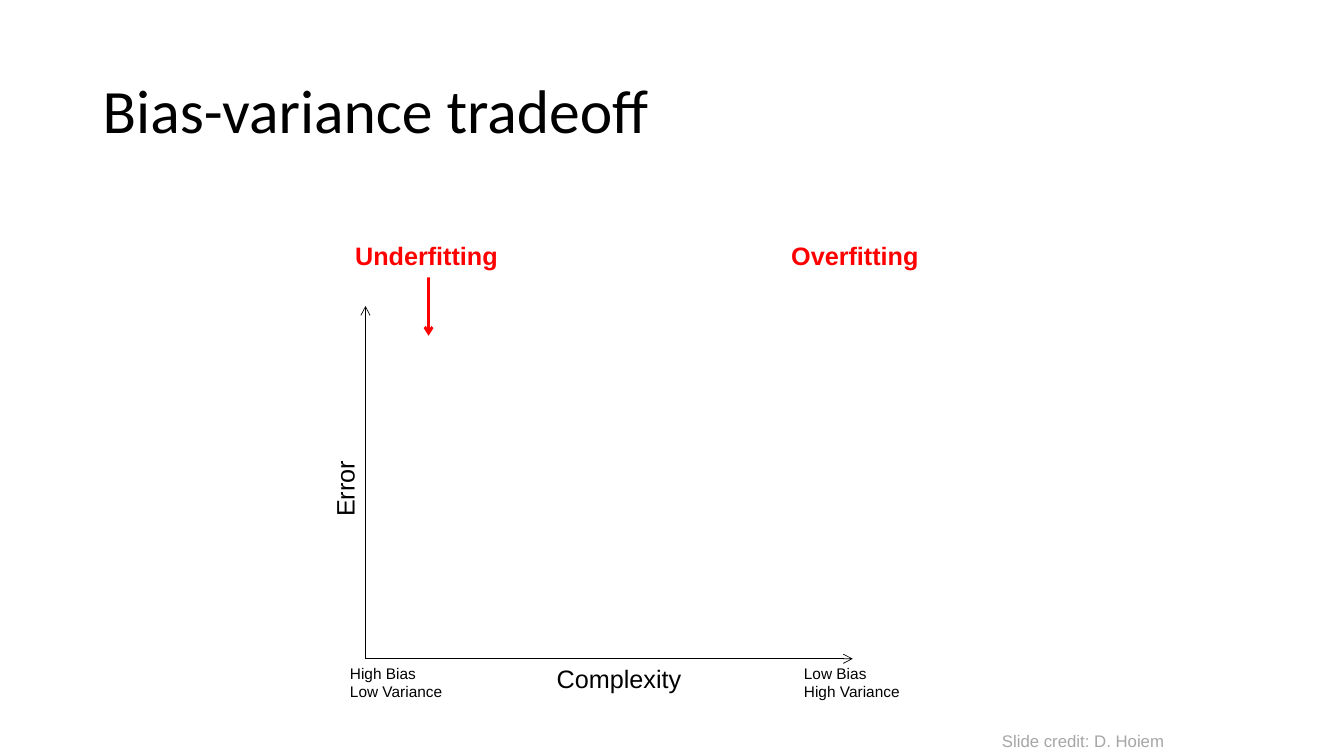
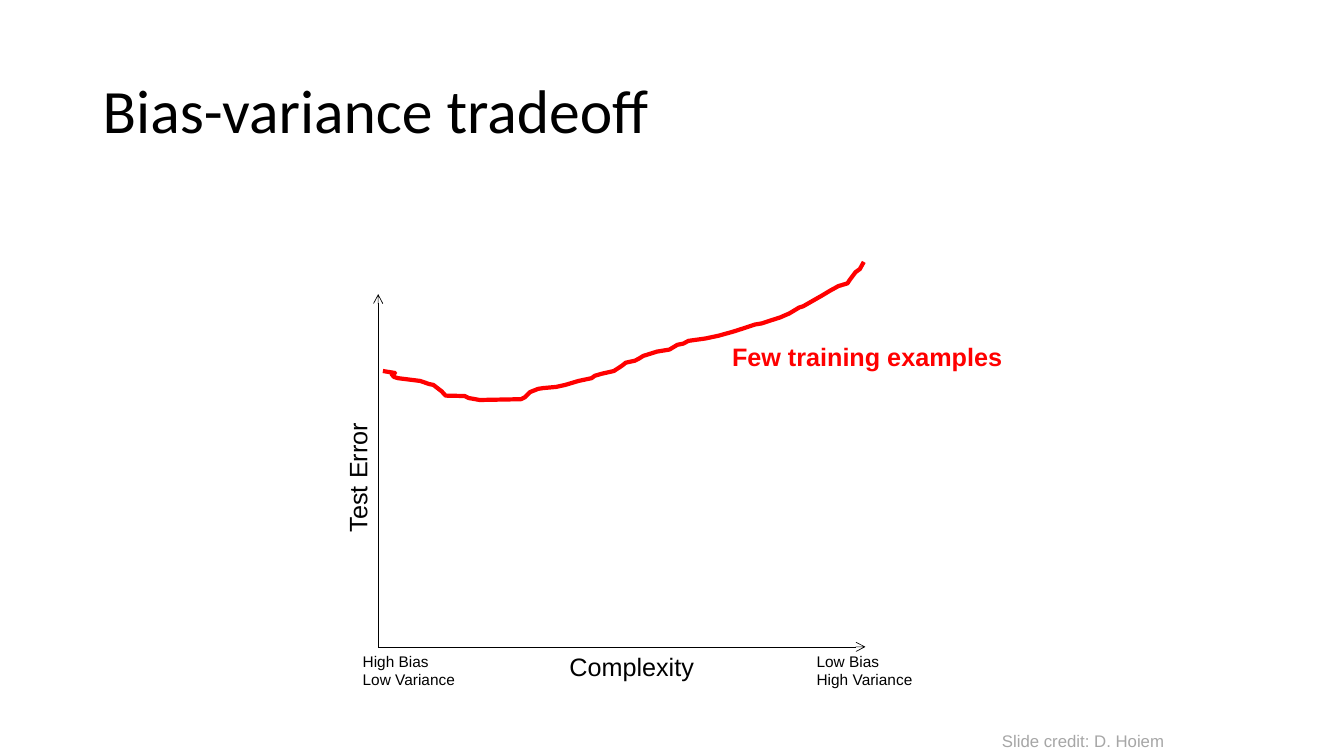
from dataclasses import dataclass

from lxml.etree import SubElement as Sub
from pptx import Presentation as Deck
from pptx.dml.color import RGBColor as RGB
from pptx.enum.shapes import MSO_CONNECTOR as Link
from pptx.enum.text import MSO_ANCHOR as Anchor
from pptx.oxml.ns import qn
from pptx.util import Cm, Pt


@dataclass(frozen=True)
class Theme:
    ink: RGB = RGB(0x00, 0x00, 0x00)
    red: RGB = RGB(0xFF, 0x00, 0x00)
    grey: RGB = RGB(0xA6, 0xA6, 0xA6)
    head: str = "Calibri"
    body: str = "Arial"
    title: int = 44
    label: int = 18
    note: int = 12
    small: int = 11
    thin: float = 0.5
    mid: float = 2
    bold: float = 3


STYLE = Theme()

# Test error with few training examples: points of the curve in cm
CURVE = [
    (9.65, 9.35), (9.96, 9.4), (9.87, 9.43), (9.93, 9.5), (10.03, 9.53),
    (10.59, 9.6), (10.82, 9.68), (10.92, 9.7), (11.13, 9.86), (11.23, 9.97),
    (11.71, 9.98), (11.81, 10.03), (12.09, 10.08), (13.13, 10.06),
    (13.23, 10.01), (13.36, 9.88), (13.56, 9.8), (13.69, 9.78),
    (14.02, 9.75), (14.25, 9.7), (14.58, 9.6), (14.91, 9.53), (14.99, 9.47),
    (15.16, 9.42), (15.47, 9.35), (15.67, 9.22), (15.77, 9.14), (16, 9.09),
    (16.1, 9.04), (16.21, 8.97), (16.56, 8.86), (16.87, 8.81),
    (17.07, 8.69), (17.22, 8.66), (17.35, 8.59), (17.78, 8.53),
    (18.11, 8.46), (18.47, 8.36), (18.72, 8.28), (19.02, 8.18),
    (19.2, 8.15), (19.41, 8.08), (19.66, 8), (19.89, 7.9), (20.14, 7.75),
    (20.24, 7.72), (20.73, 7.44), (20.93, 7.32), (21.13, 7.21),
    (21.36, 7.14), (21.41, 7.06), (21.56, 6.86), (21.67, 6.78), (21.77, 6.6),
]


def write(frame, text, size=STYLE.label, font=STYLE.body, color=STYLE.ink,
          bold=False, wrap=False, anchor=Anchor.TOP, space=1.0):
    """Fill a text frame, one paragraph for each line of text."""
    frame.word_wrap = wrap
    frame.vertical_anchor = anchor
    for i, line in enumerate(text.split("\n")):
        para = frame.add_paragraph() if i else frame.paragraphs[0]
        para.line_spacing = space
        run = para.add_run()
        run.text = line
        run.font.name = font
        run.font.size = Pt(size)
        run.font.bold = bold
        run.font.color.rgb = color


class Pen:
    """Holds the style and the current slide."""

    def __init__(self, deck, style):
        self.deck = deck
        self.style = style
        self.slide = None

    def page(self, title, credit):
        s = self.style
        self.slide = self.deck.slides.add_slide(self.deck.slide_layouts[6])
        self.text(title, 2.34, 1.02, 29.21, 3.68, size=s.title, font=s.head,
                  wrap=True, anchor=Anchor.MIDDLE, space=0.9)
        self.text(credit, 25, 18.29, 4.62, 0.76, size=s.note, color=s.grey)

    def text(self, text, x, y, w, h=1.02, turn=0, **form):
        box = self.slide.shapes.add_textbox(Cm(x), Cm(y), Cm(w), Cm(h))
        box.rotation = turn
        write(box.text_frame, text, **form)
        return box

    def tag(self, text, x, y, w, h=1.02):
        return self.text(text, x, y, w, h, color=self.style.red, bold=True)

    def arrow(self, x1, y1, x2, y2, color, width, start=None):
        line = self.slide.shapes.add_connector(
            Link.STRAIGHT, Cm(x1), Cm(y1), Cm(x2), Cm(y2))
        if start is not None:
            line.begin_connect(start, 2)
        line.line.color.rgb = color
        line.line.width = Pt(width)
        Sub(line.line._get_or_add_ln(), qn("a:tailEnd"), type="arrow")
        Sub(line._element.spPr, qn("a:effectLst"))

    def curve(self, points):
        first, *rest = [(Cm(x), Cm(y)) for x, y in points]
        path = self.slide.shapes.build_freeform(*first)
        path.add_line_segments(rest, close=False)
        shape = path.convert_to_shape()
        shape.shadow.inherit = False
        shape.fill.background()
        shape.line.color.rgb = self.style.red
        shape.line.width = Pt(self.style.bold)

    def axes(self, x, y, name, span):
        """Axes with their labels; the origin is at x, y."""
        s = self.style
        for dx, dy in ((0, -8.89), (12.28, 0)):
            self.arrow(x, y, x + dx, y + dy, s.ink, s.thin)
        self.text("Complexity", x + 4.57, y, 3.68)
        self.text("High Bias\nLow Variance", x - 0.64, y, 2.9, 1.19,
                  size=s.small)
        self.text("Low Bias\nHigh Variance", x + 10.8, y, 2.97, 1.19,
                  size=s.small)
        self.text(name, x - 0.52 - span / 2, y - 4.8, span, turn=270)


def main():
    deck = Deck()
    deck.slide_width, deck.slide_height = Cm(33.87), Cm(19.05)
    pen = Pen(deck, STYLE)
    title, credit = "Bias-variance tradeoff", "Slide credit: D. Hoiem"

    # Underfitting and overfitting
    pen.page(title, credit)
    under = pen.tag("Underfitting", 8.7, 5.92, 4.2, 1.07)
    pen.tag("Overfitting", 19.69, 5.92, 3.76, 1.07)
    pen.arrow(10.8, 6.99, 10.8, 8.46, STYLE.red, STYLE.mid, start=under)
    pen.axes(9.21, 16.6, "Error", 1.93)

    # Test error with few examples
    pen.page(title, credit)
    pen.curve(CURVE)
    pen.tag("Few training examples", 18.2, 8.47, 7.4)
    pen.axes(9.53, 16.3, "Test Error", 3.3)

    deck.save("out.pptx")


if __name__ == "__main__":
    main()
